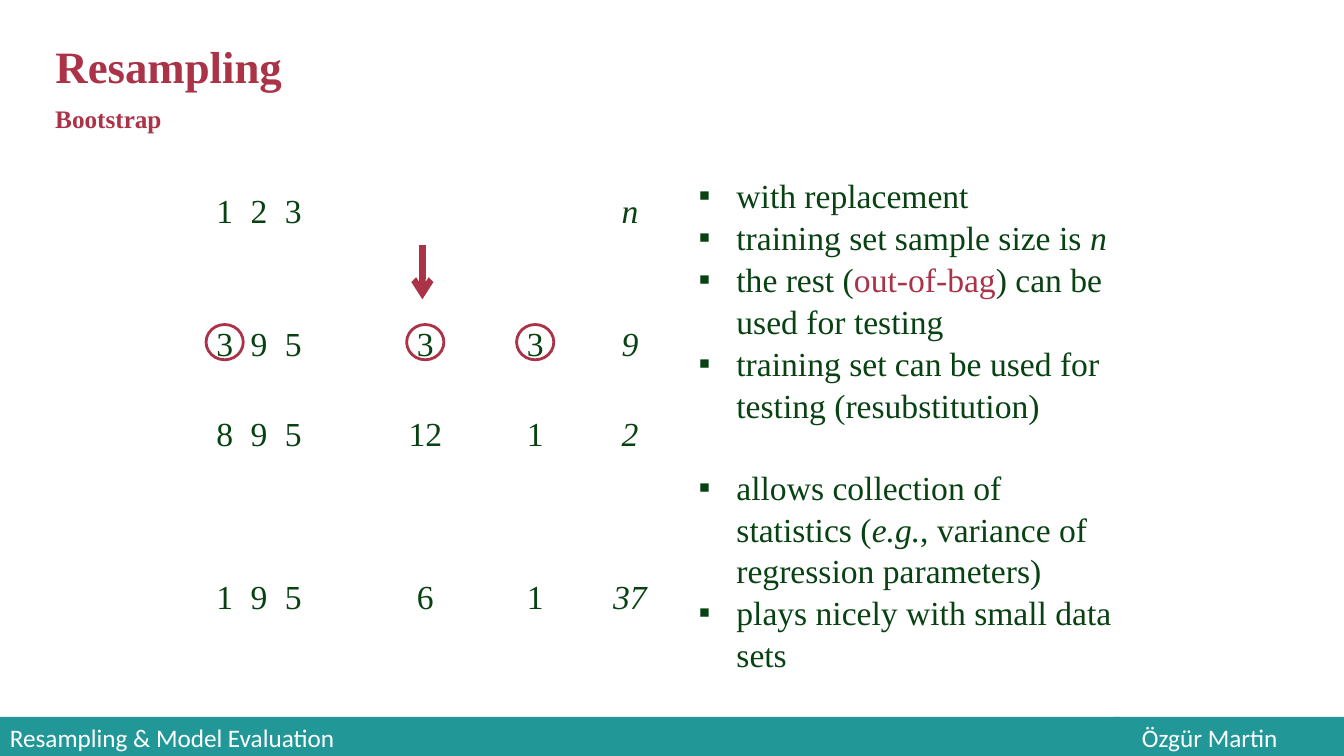
"""Build the bootstrap resampling slide."""
from lxml import etree
from pptx import Presentation
from pptx import util as u
from pptx.dml.color import RGBColor
from pptx.enum import shapes, text
from pptx.oxml.ns import qn

COLORS = {"crimson": "AB3348", "green": "084112", "teal": "219897", "white": "FFFFFF"}
SERIF, SANS = "Times New Roman", "Calibri"

HEADING, SUBHEADING = "Resampling", "Bootstrap"
COLUMN_CENTERS = [160.5, 185, 209.5, 303.8, 382.3, 450]
SAMPLES = [
    (131.8, ["1", "2", "3", "", "", "n"]),
    (226.8, ["3", "9", "5", "3", "3", "9"]),
    (291.6, ["8", "9", "5", "12", "1", "2"]),
    (407.5, ["1", "9", "5", "6", "1", "37"]),
]
REPEATED_ROW, REPEATED_VALUE = 1, "3"
POINTS = [
    (0, [("with replacement", {})]),
    (0, [("training set sample size is ", {}), ("n", {"italic": True})]),
    (0, [("the rest (", {}), ("out-of-bag", {"color": "crimson"}),
         (") can be used for testing", {})]),
    (0, [("training set can be used for testing (resubstitution)", {})]),
    (28.7, [("allows collection of statistics (", {}), ("e.g.", {"italic": True}),
            (", variance of regression parameters)", {})]),
    (0, [("plays nicely with small data sets", {})]),
]
FOOTERS = [
    ("Özgür Martin", 796.3, 163.7, 19.4),
    ("Resampling & Model Evaluation", 0, 799.2, 7.2),
]
FOOTER_TOP, FOOTER_HEIGHT = 512, 30


def rgb(name):
    """Return the named colour."""
    return RGBColor.from_string(COLORS[name])


def points(*lengths):
    """Return the lengths in points."""
    return [u.Pt(length) for length in lengths]


def write(paragraph, words, size=24, font=SERIF, color="green", bold=False,
          italic=False, align=text.PP_ALIGN.LEFT):
    """Add one formatted run to a paragraph."""
    paragraph.alignment = align
    run = paragraph.add_run()
    run.text = words
    run.font.size, run.font.name = u.Pt(size), font
    run.font.bold, run.font.italic = bold, italic
    run.font.color.rgb = rgb(color)


def place(part, left, top, width, height):
    """Move and size a part."""
    part.left, part.top, part.width, part.height = points(left, top, width, height)


def add_bullet(paragraph):
    """Give a paragraph a hanging square bullet."""
    properties = paragraph._p.get_or_add_pPr()
    properties.set("marL", str(u.Pt(27)))
    properties.set("indent", str(u.Pt(-27)))
    etree.SubElement(properties, qn("a:buChar")).set("char", "▪")


def add_footers(slide):
    """Add the two parts of the footer band."""
    for words, left, width, margin in FOOTERS:
        band = slide.shapes.add_shape(
            shapes.MSO_SHAPE.RECTANGLE, *points(left, FOOTER_TOP, width, FOOTER_HEIGHT))
        band.shadow.inherit = False
        band.fill.solid()
        band.fill.fore_color.rgb = rgb("teal")
        band.line.fill.background()
        band.text_frame.margin_left = u.Pt(margin)
        band.text_frame.vertical_anchor = text.MSO_ANCHOR.MIDDLE
        write(band.text_frame.paragraphs[0], words, size=18, font=SANS, color="white")


def add_headings(slide):
    """Fill the title and add the subheading."""
    title = slide.shapes.title
    place(title, 32.4, 24, 177.8, 46)
    subheading = slide.shapes.add_textbox(*points(32.4, 70, 91.4, 28.8))
    for part, words, size in [(title, HEADING, 32), (subheading, SUBHEADING, 18)]:
        frame = part.text_frame
        frame.word_wrap = False
        frame.auto_size = text.MSO_AUTO_SIZE.NONE
        frame.vertical_anchor = text.MSO_ANCHOR.TOP
        write(frame.paragraphs[0], words, size=size, color="crimson", bold=True)


def add_samples(slide):
    """Add the rows of sample numbers and ring the repeated draws."""
    for row, (top, values) in enumerate(SAMPLES):
        for center, value in zip(COLUMN_CENTERS, values):
            if not value:
                continue
            width = 37.4 if len(value) == 1 else 48
            number = slide.shapes.add_textbox(*points(center - width / 2, top, width, 36))
            number.text_frame.word_wrap = True
            write(number.text_frame.paragraphs[0], value, align=text.PP_ALIGN.CENTER,
                  italic=center == COLUMN_CENTERS[-1])
            if row == REPEATED_ROW and value == REPEATED_VALUE:
                ring = slide.shapes.add_shape(
                    shapes.MSO_SHAPE.OVAL, *points(center - 13.3, top + 5, 26.6, 25.2))
                ring.shadow.inherit = False
                ring.fill.background()
                ring.line.color.rgb = rgb("crimson")
                ring.line.width = u.Pt(2)


def add_arrow(slide):
    """Add the arrow from the data to the first sample."""
    arrow = slide.shapes.add_connector(
        shapes.MSO_CONNECTOR.STRAIGHT, *points(301.7, 175, 301.7, 213.8))
    arrow.line.color.rgb = rgb("crimson")
    arrow.line.width = u.Pt(4.5)
    etree.SubElement(arrow.line._get_or_add_ln(), qn("a:tailEnd")).set("type", "arrow")
    etree.SubElement(arrow._element.spPr, qn("a:effectLst"))


def add_points(slide):
    """Fill the bulleted list."""
    body = slide.placeholders[1]
    place(body, 491.8, 120.2, 314.6, 356.4)
    frame = body.text_frame
    frame.word_wrap = True
    frame.auto_size = text.MSO_AUTO_SIZE.NONE
    for index, (gap, runs) in enumerate(POINTS):
        paragraph = frame.add_paragraph() if index else frame.paragraphs[0]
        add_bullet(paragraph)
        paragraph.line_spacing = 1.04
        paragraph.space_before = u.Pt(gap)
        for words, style in runs:
            write(paragraph, words, **style)


def main():
    """Build and save the slide."""
    deck = Presentation()
    deck.slide_width, deck.slide_height = points(960, 540)
    slide = deck.slides.add_slide(deck.slide_layouts[1])
    add_footers(slide)
    add_headings(slide)
    add_samples(slide)
    add_arrow(slide)
    add_points(slide)
    deck.save("out.pptx")


if __name__ == "__main__":
    main()
